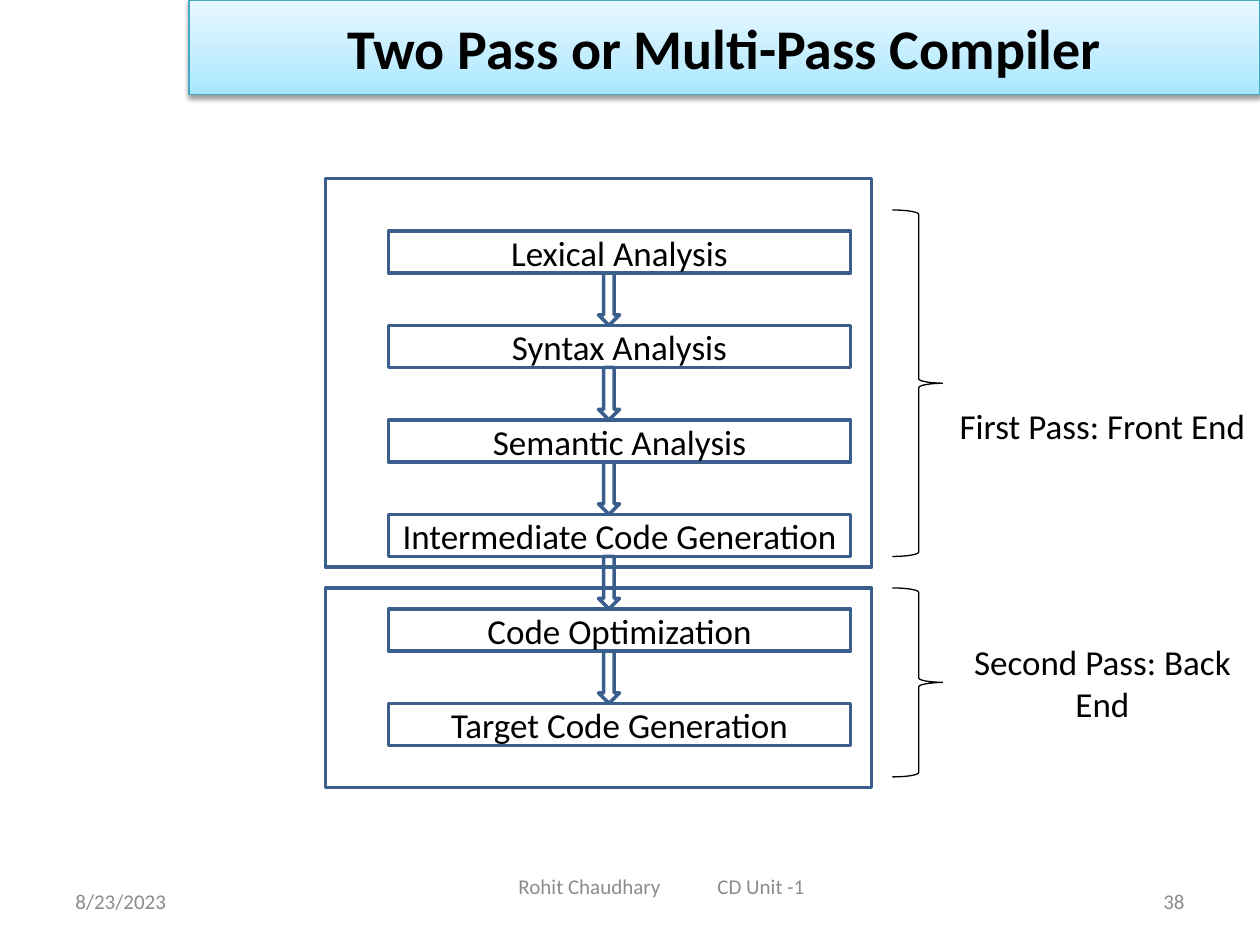
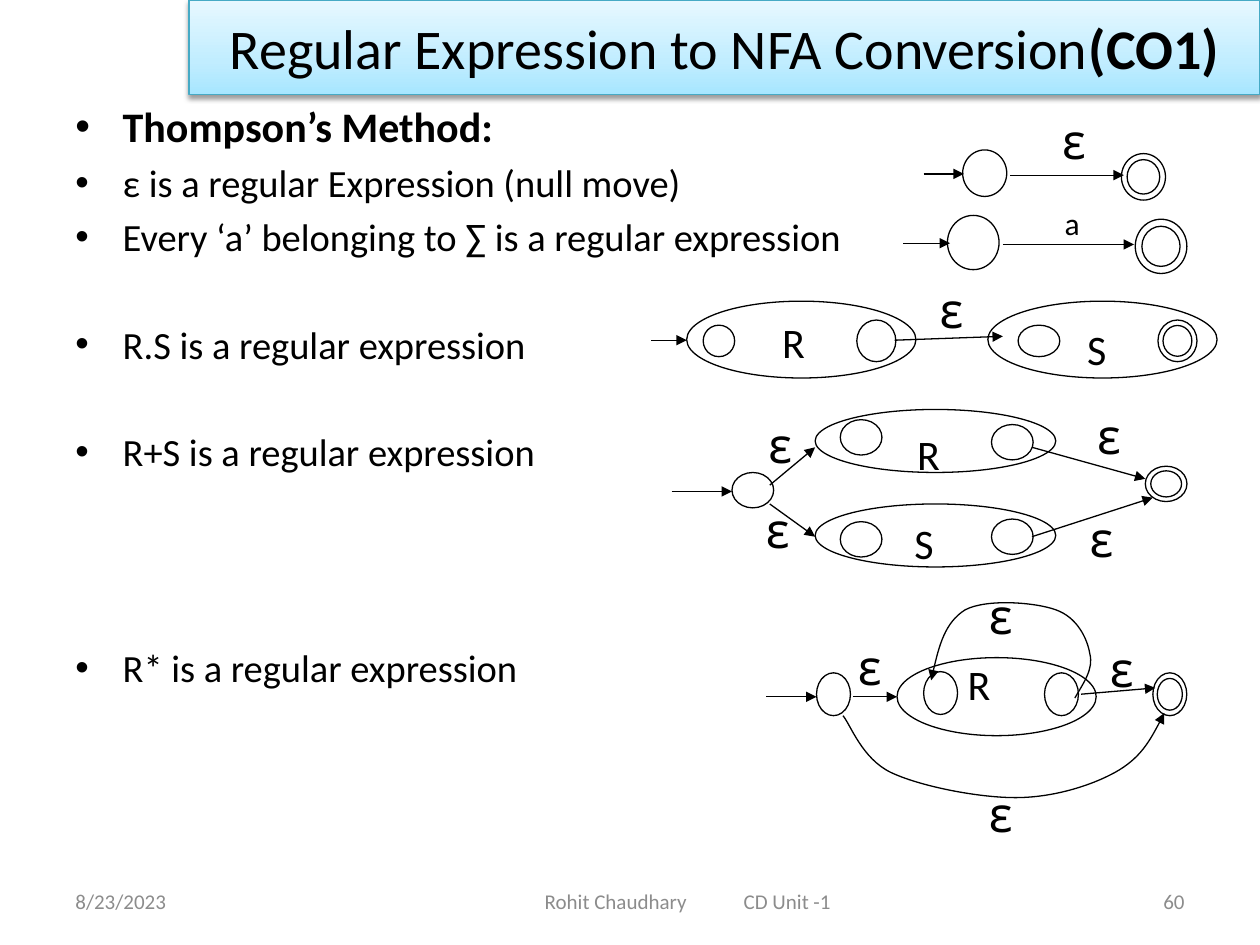
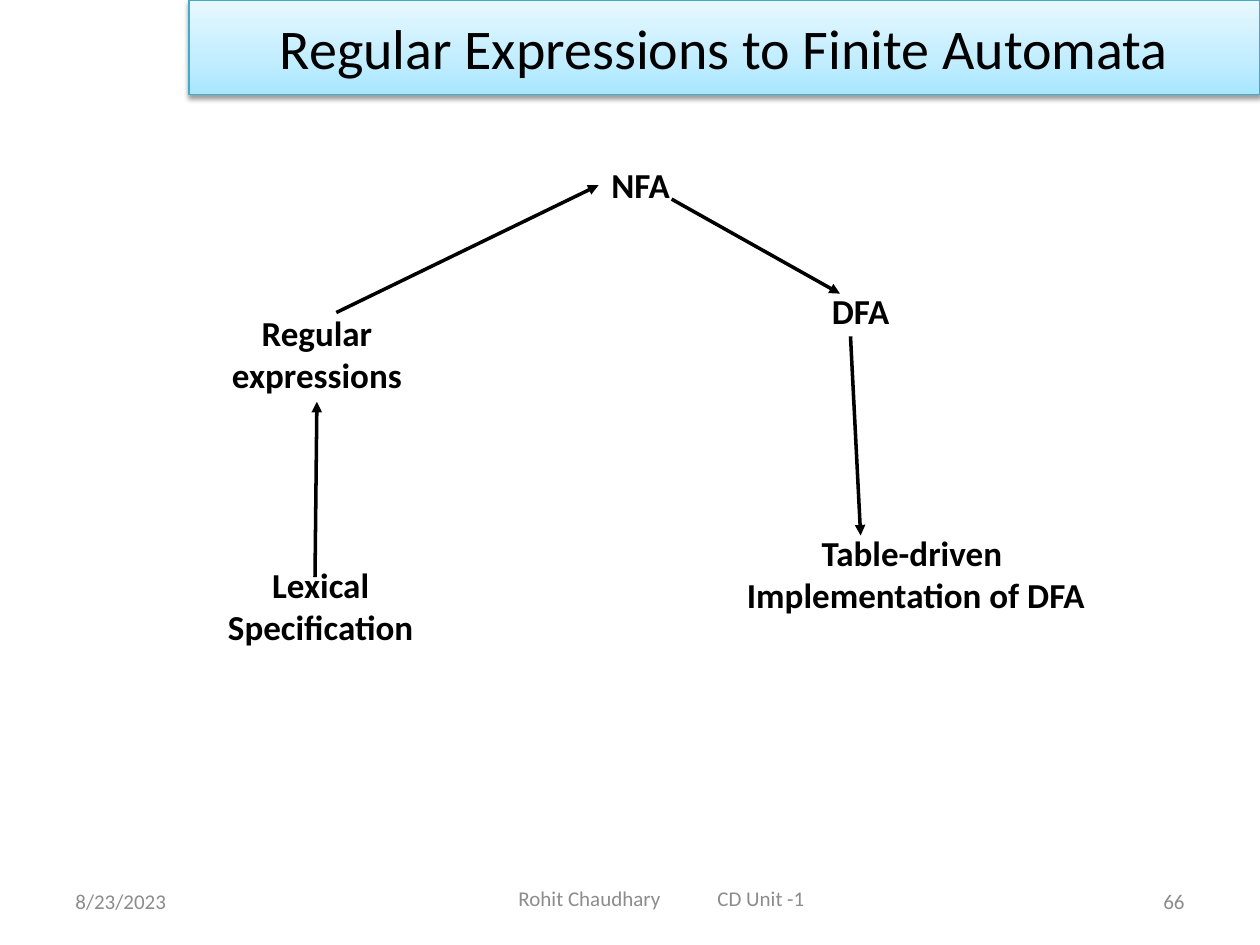
from itertools import pairwise
from lxml.etree import SubElement
from pptx import Presentation
from pptx.dml.color import RGBColor
from pptx.enum.shapes import MSO_CONNECTOR, MSO_SHAPE
from pptx.enum.text import MSO_ANCHOR, MSO_AUTO_SIZE, PP_ALIGN
from pptx.oxml import parse_xml
from pptx.oxml.ns import nsdecls, qn
from pptx.util import Pt

BLACK = RGBColor(0x00, 0x00, 0x00)
WHITE = RGBColor(0xFF, 0xFF, 0xFF)
GREY = RGBColor(0x8C, 0x8C, 0x8C)
BLUE = RGBColor(0x3A, 0x5F, 0x8C)
TEAL = RGBColor(0x46, 0xAA, 0xC5)
SKY = [(0, RGBColor(0xA7, 0xE6, 0xFF)), (35, RGBColor(0xC1, 0xED, 0xFF)),
       (100, RGBColor(0xE7, 0xF8, 0xFF))]
FONT, GREEK = "Calibri", "Comic Neue"
LEFT, MID, RIGHT = PP_ALIGN.LEFT, PP_ALIGN.CENTER, PP_ALIGN.RIGHT

DATE = "8/23/2023"
NAME = "Rohit Chaudhary\tCD Unit -1"
NAME_W, NAME_TAB = 163.4, 113.7

PHASES = ["Lexical Analysis", "Syntax Analysis", "Semantic Analysis",
          "Intermediate Code Generation", "Code Optimization",
          "Target Code Generation"]
PASSES = [
    ("First Pass: Front End", (510, 120, 30, 198), (540, 186, 180, 114), (186, 102, 312, 222)),
    ("Second Pass: Back End", (510, 336, 30, 108), (540, 354, 180, 72), (186, 336, 312, 114)),
]

RULES = [
    ("Thompson’s Method:", 0),
    ("ε is a regular Expression (null move)", 0),
    ("Every ‘a’ belonging to ∑ is a regular expression", 0),
    ("R.S is a regular expression", 1),
    ("R+S is a regular expression", 1),
    ("R* is a regular expression", 3),
]
STATES = [
    ((25.2, 26.6), [(550.1, 85.7)]),
    ((29.5, 31), [(541.4, 123.1)]),
    ((131, 43.9), [(392.4, 172.1), (564.5, 172.1)]),
    ((22.3, 23.8), [(489.6, 182.9)]),
    ((23.8, 18), [(581.8, 185.8)]),
    ((18, 18), [(401.8, 185.8)]),
    ((137.5, 36), [(465.8, 234), (465.8, 288)]),
    ((23.8, 20.2), [(566.6, 242.6), (566.6, 296.6), (480.2, 239.8),
                    (480.2, 298.1), (418.3, 270)]),
    ((113.8, 44.6), [(512.6, 375.8)]),
    ((19.4, 24.5), [(596.9, 384.5), (466.6, 384.5), (527.8, 383.8)]),
]
FINALS = [
    (640.8, 87.8, 25.2, 26.6), (648.7, 125.3, 29.5, 31),
    (661.7, 182.9, 22.3, 23.8), (654.5, 266.4, 23.8, 20.2),
    (658.8, 384.5, 19.4, 24.5),
]
INNER = 0.74
MOVES = [
    (527.8, 99.4, 550.8, 99.4), (577.4, 100.1, 642.2, 100.1),
    (516.2, 139, 542.9, 139), (573.1, 139.7, 648, 139.7),
    (372.2, 194.4, 392.4, 194.4), (511.2, 194.4, 573.1, 192.2),
    (383.8, 280.8, 418.3, 280.8), (439.9, 277.2, 465.8, 255.6),
    (439.9, 288, 465.8, 306.7), (589.7, 255.6, 654.5, 273.6),
    (589.7, 306.7, 658.8, 284.4), (437.8, 398.2, 466.6, 398.2),
    (487.4, 398.2, 512.6, 398.2), (617.8, 396.7, 660.2, 393.1),
]
CURVES = [
    [(481.7, 409), (486, 414), (492.5, 433.4), (509, 441.4),
     (525.6, 449.3), (558.7, 455.8), (580.3, 455.8),
     (601.2, 455.8), (622.8, 449.3), (637.2, 441.4),
     (651.6, 433.4), (658.8, 420.5), (665.3, 407.5)],
    [(614.2, 398.9), (619.2, 390.2), (625, 382.3), (622.8, 373.7),
     (621.4, 365), (615.6, 352.8), (603.4, 348.5),
     (591.8, 344.2), (563.8, 342), (551.5, 348.5),
     (540, 355.7), (535.7, 372.2), (532.1, 388.8)],
]
MARKS = [
    ("ε", 28, GREEK, (20.9, 32.4), [(599.8, 59.8)]),
    ("ε", 28, GREEK, (18, 29.5), [(529.9, 156.2)]),
    ("ε", 28, GREEK, (19.4, 24.5), [(432, 233.3), (430.6, 282.2),
                                    (619.9, 228.2), (615.6, 287.3)]),
    ("ε", 28, GREEK, (26.6, 41), [(483.1, 360), (558, 331.2),
                                  (558, 444.2), (627.1, 361.4)]),
    ("a", 18, FONT, (22.3, 33.1), [(601.2, 113)]),
    ("R", 24, FONT, (18.7, 26.6), [(439.9, 177.1)]),
    ("S", 24, FONT, (17.3, 26.6), [(614.2, 181.4)]),
    ("R", 24, FONT, (27.4, 36.7), [(517, 241.2), (545.8, 373)]),
    ("S", 24, FONT, (25.9, 36.7), [(515.5, 292.3)]),
]

STEPS = {
    "nfa": (["NFA"], (342, 90, 48.2, 31.7)),
    "dfa": (["DFA"], (468, 162, 47.5, 31.7)),
    "table": (["Table-driven ", "Implementation of DFA"], (419, 300.2, 208.8, 55.4)),
    "spec": (["Lexical", "Specification"], (122.4, 318.2, 121.7, 55.4)),
    "regex": (["Regular", "expressions"], (124.6, 174.2, 113, 55.4)),
}
LINKS = [
    ((180, 329.8, 181.1, 229.7), ("regex", 2)),
    ((192.2, 178.6, 342, 105.8), ("nfa", 1)),
    ((383.8, 113.8, 480, 167.8), None),
    ((486, 192.2, 491.8, 306), None),
]


def pts(box):
    return [Pt(n) for n in box]


def style(para, size, tint=BLACK, bold=None, align=LEFT, face=FONT):
    para.alignment = align
    font = para.font
    font.name, font.size, font.bold = face, Pt(size), bold
    font.color.rgb = tint


def text(slide, box, lines, size, wrap=True, **look):
    shape = slide.shapes.add_textbox(*pts(box))
    frame = shape.text_frame
    frame.word_wrap = wrap
    if not wrap:
        frame.auto_size = MSO_AUTO_SIZE.SHAPE_TO_FIT_TEXT
    frame.text = "\n".join(lines)
    for para in frame.paragraphs:
        style(para, size, **look)
    return shape


def outline(shape, tint, width):
    shape.line.color.rgb = tint
    shape.line.width = Pt(width)


def draw(slide, kind, box, tint=BLACK, width=0.75, fill=None, label=None):
    shape = slide.shapes.add_shape(kind, *pts(box))
    shape.shadow.inherit = False
    if fill is None:
        shape.fill.background()
    else:
        shape.fill.solid()
        shape.fill.fore_color.rgb = fill
    outline(shape, tint, width)
    if label:
        shape.text_frame.text = label
        style(shape.text_frame.paragraphs[0], 20, align=MID)
    return shape


def point(shape):
    line = shape.element.spPr.find(qn("a:ln"))
    SubElement(line, qn("a:tailEnd"), type="triangle")


def arrow(slide, ends, width=0.75):
    link = slide.shapes.add_connector(MSO_CONNECTOR.STRAIGHT, *pts(ends))
    outline(link, BLACK, width)
    point(link)
    SubElement(link.element.spPr, qn("a:effectLst"))
    return link


def curve(slide, knots):
    first, *rest = [pts(knot) for knot in knots]
    pen = slide.shapes.build_freeform(*first)
    pen.add_line_segments(rest, close=False)
    shape = pen.convert_to_shape()
    route = next(shape.element.iter(qn("a:path")))
    legs = route.findall(qn("a:lnTo"))
    for at in range(0, len(legs), 3):
        bend = SubElement(route, qn("a:cubicBezTo"))
        for leg in legs[at:at + 3]:
            bend.append(leg[0])
            route.remove(leg)
    shape.shadow.inherit = False
    shape.fill.background()
    outline(shape, BLACK, 0.75)
    point(shape)


def banner(slide, parts):
    bar = draw(slide, MSO_SHAPE.RECTANGLE, (108, 0, 612, 54), TEAL)
    props = bar.element.spPr
    stops = "".join(f'<a:gs pos="{at * 1000}"><a:srgbClr val="{tint}"/></a:gs>'
                    for at, tint in SKY)
    props.replace(props.find(qn("a:noFill")), parse_xml(
        f'<a:gradFill {nsdecls("a")} rotWithShape="1"><a:gsLst>{stops}</a:gsLst>'
        '<a:lin ang="16200000" scaled="0"/></a:gradFill>'))
    props.replace(props.find(qn("a:effectLst")), parse_xml(
        f'<a:effectLst {nsdecls("a")}><a:outerShdw blurRad="{Pt(3.1)}" '
        f'dist="{Pt(1.6)}" dir="5400000" rotWithShape="0"><a:srgbClr val="{BLACK}">'
        '<a:alpha val="38000"/></a:srgbClr></a:outerShdw></a:effectLst>'))
    para = bar.text_frame.paragraphs[0]
    for words, bold in parts:
        run = para.add_run()
        run.text, run.font.bold = words, bold
    style(para, 32, align=MID)


def footer(slide, number, left, top, width):
    for box, words, align in [((36, 500.4, 168, 28.8), DATE, LEFT),
                              ((516, 500.4, 168, 28.8), number, RIGHT)]:
        note = text(slide, box, [words], 12, tint=GREY, align=align)
        note.text_frame.vertical_anchor = MSO_ANCHOR.MIDDLE
    frame = slide.shapes.add_textbox(*pts((left, top, width, 28.8))).text_frame
    frame.word_wrap = True
    frame.vertical_anchor = MSO_ANCHOR.MIDDLE
    frame.margin_left = Pt((width - NAME_W) / 2)
    frame.text = NAME
    para = frame.paragraphs[0]
    tabs = SubElement(para._p.get_or_add_pPr(), qn("a:tabLst"))
    SubElement(tabs, qn("a:tab"), pos=str(Pt(NAME_TAB)), algn="l")
    style(para, 12, GREY)


def start(deck, title, number, *place):
    slide = deck.slides.add_slide(deck.slide_layouts[6])
    banner(slide, title)
    footer(slide, number, *place)
    return slide


def passes(deck):
    slide = start(deck, [("Two Pass or Multi-Pass Compiler", True)], "38", 180, 491.8, 396)
    tops = [132 + 54 * row for row in range(len(PHASES))]
    for top, phase in zip(tops, PHASES):
        draw(slide, MSO_SHAPE.RECTANGLE, (222, top, 264, 24), BLUE, 2, WHITE, phase)
    for top, below in pairwise(tops):
        draw(slide, MSO_SHAPE.DOWN_ARROW, (342, top + 24, 12, below - top - 24), BLUE, 2)
    for label, brace, box, frame in PASSES:
        draw(slide, MSO_SHAPE.RIGHT_BRACE, brace)
        draw(slide, MSO_SHAPE.RECTANGLE, box, WHITE, 2, WHITE, label)
        draw(slide, MSO_SHAPE.RECTANGLE, frame, BLUE, 2)


def rules(slide):
    frame = slide.shapes.add_textbox(*pts((36, 54, 666, 450))).text_frame
    frame.word_wrap = True
    frame.text = "\n".join(words for words, skip in RULES)
    for row, (para, (words, skip)) in enumerate(zip(frame.paragraphs, RULES)):
        props = para._p.get_or_add_pPr()
        props.set("marL", str(Pt(27)))
        props.set("indent", str(-Pt(27)))
        SubElement(props, qn("a:buFont"), typeface="Arial")
        SubElement(props, qn("a:buChar"), char="•")
        if row:
            para.space_before = Pt(4.4 + 30.85 * skip)
        style(para, 22 if row else 24, bold=not row)


def thompson(deck):
    title = [("Regular Expression to NFA Conversion", False), ("(CO1)", True)]
    slide = start(deck, title, "60", 174, 500.4, 438)
    rules(slide)
    for size, spots in STATES:
        for spot in spots:
            draw(slide, MSO_SHAPE.OVAL, spot + size)
    for x, y, w, h in FINALS:
        draw(slide, MSO_SHAPE.OVAL, (x, y, w, h))
        gap = (1 - INNER) / 2
        draw(slide, MSO_SHAPE.OVAL, (x + w * gap, y + h * gap, w * INNER, h * INNER))
    for ends in MOVES:
        arrow(slide, ends)
    for knots in CURVES:
        curve(slide, knots)
    for mark, size, face, area, spots in MARKS:
        for spot in spots:
            text(slide, spot + area, [mark], size, wrap=False, face=face)


def automata(deck):
    title = [("Regular Expressions to Finite Automata", False)]
    slide = start(deck, title, "66", 180, 499, 396)
    steps = {key: text(slide, box, lines, 20, wrap=False, bold=True, align=MID)
             for key, (lines, box) in STEPS.items()}
    for ends, joint in LINKS:
        link = arrow(slide, ends, 2)
        if joint:
            key, side = joint
            link.end_connect(steps[key], side)


def main():
    deck = Presentation()
    deck.slide_width, deck.slide_height = Pt(720), Pt(540)
    passes(deck)
    thompson(deck)
    automata(deck)
    deck.save("out.pptx")


if __name__ == "__main__":
    main()
